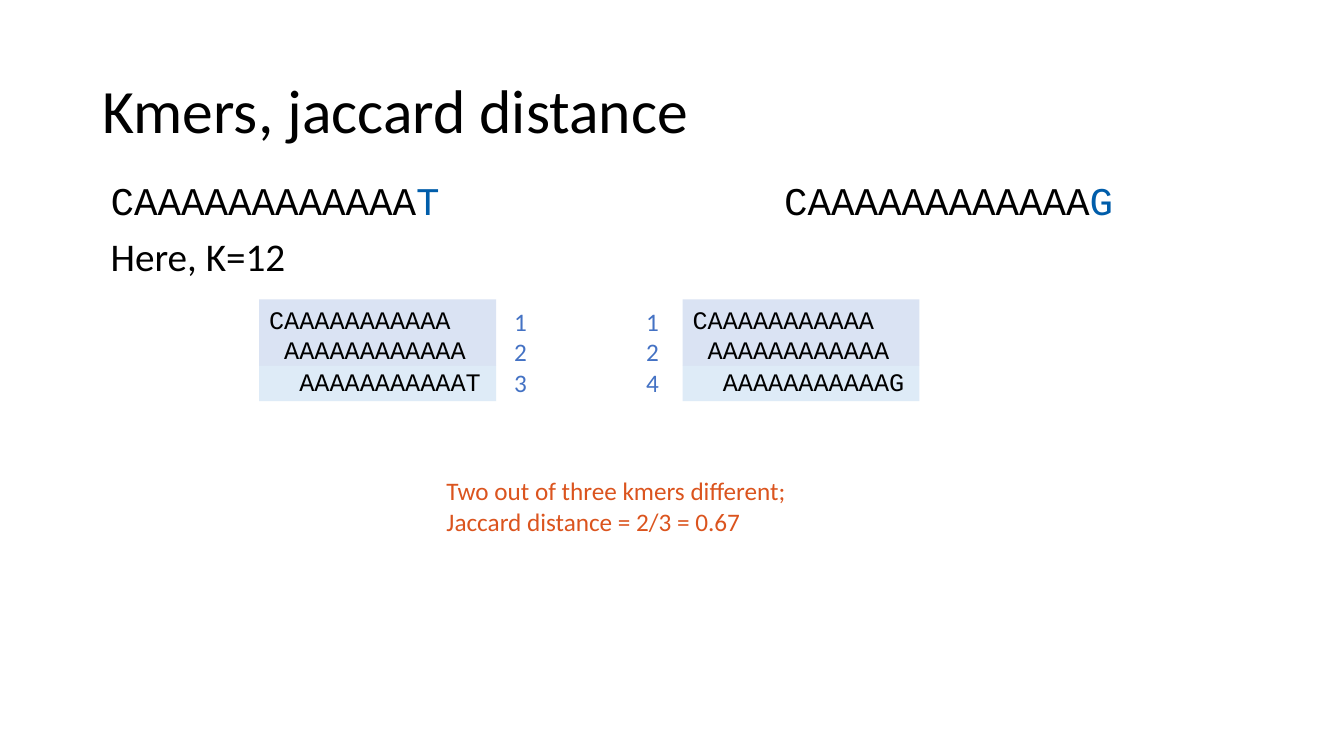
from lxml import etree
from pptx import Presentation
from pptx.dml.color import RGBColor
from pptx.enum.shapes import MSO_SHAPE
from pptx.enum.text import MSO_ANCHOR, PP_ALIGN
from pptx.oxml.ns import qn
from pptx.util import Inches, Pt

RECT = MSO_SHAPE.RECTANGLE
TOP, MIDDLE = MSO_ANCHOR.TOP, MSO_ANCHOR.MIDDLE
LEFT = PP_ALIGN.LEFT
SANS, MONO = "Calibri", "Courier New"
BLACK, BLUE, NUMBER_BLUE, ORANGE = "000000", "005DAA", "4472C4", "DB541E"
SHARED_FILL, UNIQUE_FILL = "DAE3F3", "DEEBF7"

# Content
TITLE = "Kmers, jaccard distance"
K_NOTE = "Here, K=12"
# common start, differing last letter, left of sequence, left of k-mer block
SEQUENCES = [
    ("CAAAAAAAAAAAA", "T", 1.0, 2.57),
    ("CAAAAAAAAAAAA", "G", 7.68, 6.77),
]
K = 12
KMER_NUMBERS = ["1\t1", "2\t2", "3\t4"]
RESULT = ["Two out of three kmers different;", "Jaccard distance = 2/3 = 0.67"]

# Layout in inches
KMER_TOP, KMER_W, SHARED_H, UNIQUE_H = 2.97, 2.35, 0.66, 0.35
LETTER_W = 0.15
NUMBER_TAB = 1.31


def color(value):
    return RGBColor.from_string(value)


def add_text(box):
    return s.shapes.add_textbox(*map(Inches, box))


def write(sp, lines, size, font=SANS, ink=BLACK, anchor=TOP, spacing=None):
    tf = sp.text_frame
    tf.word_wrap = True
    tf.vertical_anchor = anchor
    for i, line in enumerate(lines):
        p = tf.paragraphs[0] if i == 0 else tf.add_paragraph()
        p.alignment = LEFT
        if spacing:
            p.line_spacing = spacing
        p.add_run().text = line
        p.font.name, p.font.size = font, Pt(size)
        p.font.color.rgb = color(ink)
    return tf


def add_kmers(left, top, height, fill, kmers, first, inset_top, inset_bottom):
    sp = s.shapes.add_shape(RECT, *map(Inches, (left, top, KMER_W, height)))
    sp.shadow.inherit = False
    sp.fill.solid()
    sp.fill.fore_color.rgb = color(fill)
    sp.line.fill.background()
    tf = write(sp, kmers, 18, MONO)
    tf.margin_top, tf.margin_bottom = Inches(inset_top), Inches(inset_bottom)
    # Each k-mer starts one letter further right
    for i, p in enumerate(tf.paragraphs, first):
        p._p.get_or_add_pPr().set("marL", str(Inches(i * LETTER_W)))


prs = Presentation()
prs.slide_width, prs.slide_height = Inches(13.33), Inches(7.5)
s = prs.slides.add_slide(prs.slide_layouts[6])

# Title
write(add_text((0.92, 0.4, 11.5, 1.45)), [TITLE], 44, anchor=MIDDLE, spacing=0.9)

# Sequences and their k-mers
for i, (start, last, seq_left, kmer_left) in enumerate(SEQUENCES):
    tf = write(add_text((seq_left, 1.75, 4.66, 4.58)), [start], 28, MONO, spacing=0.9)
    r = tf.paragraphs[0].add_run()
    r.text = last
    r.font.color.rgb = color(BLUE)
    if i == 0:
        p = tf.add_paragraph()
        p.text = K_NOTE
        p.line_spacing, p.space_before = 0.9, Pt(10)
        p.font.name, p.font.size = SANS, Pt(28)
        p.font.color.rgb = color(BLACK)

    sequence = start + last
    kmers = [sequence[n:n + K] for n in range(len(sequence) - K + 1)]
    add_kmers(kmer_left, KMER_TOP, SHARED_H, SHARED_FILL, kmers[:2], 0, 0.05, 0)
    add_kmers(kmer_left, KMER_TOP + SHARED_H, UNIQUE_H, UNIQUE_FILL, kmers[2:], 2, 0, 0.05)

# Result
write(add_text((4.33, 4.67, 3.75, 0.71)), RESULT, 18, ink=ORANGE)

# K-mer numbers, one column beside each block
sp = add_text((5, 2.99, 1.67, 1.01))
for p in sp.text_frame.paragraphs:
    p.alignment = LEFT
tf = write(sp, KMER_NUMBERS, 18, ink=NUMBER_BLUE)
for p in tf.paragraphs:
    tabs = etree.Element(qn("a:tabLst"))
    etree.SubElement(tabs, qn("a:tab"), pos=str(Inches(NUMBER_TAB)), algn="l")
    p._p.get_or_add_pPr().insert(0, tabs)

prs.save("out.pptx")
